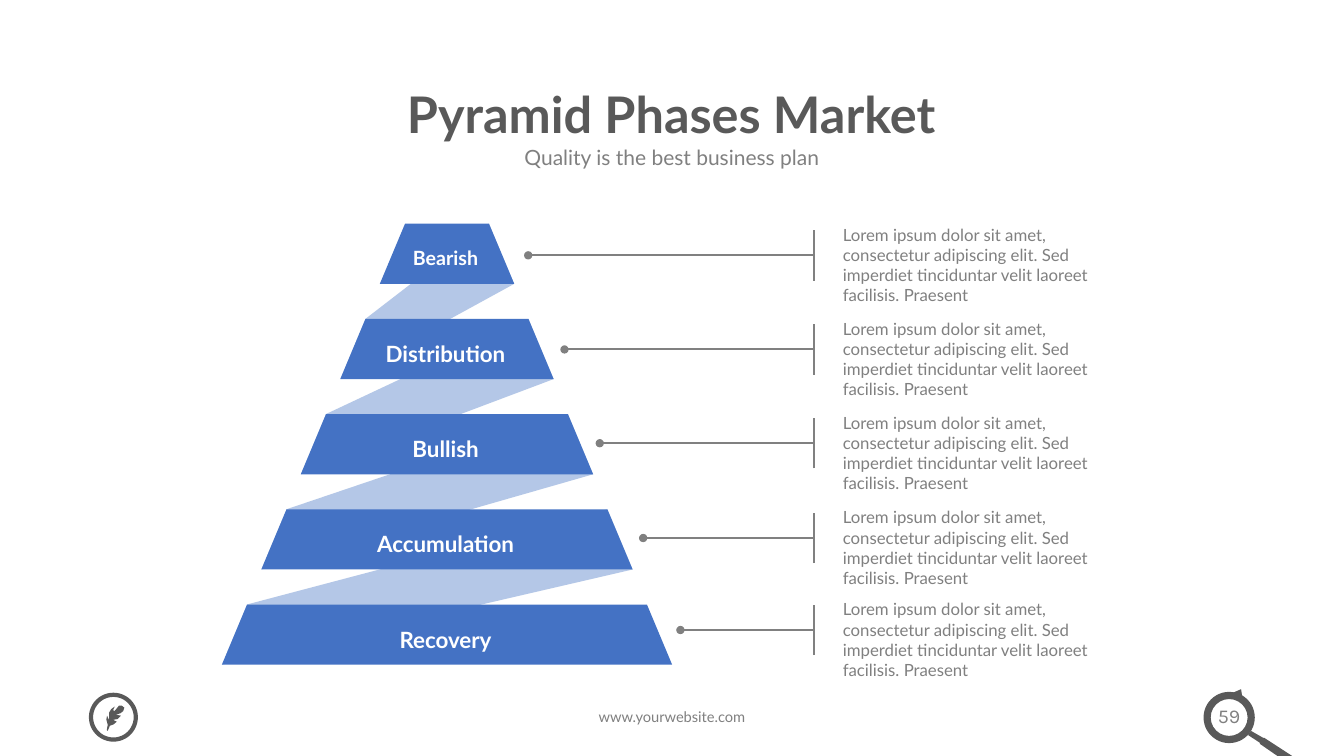
from lxml.etree import SubElement
from pptx import Presentation
from pptx.dml.color import RGBColor as RGB
from pptx.enum.shapes import MSO_CONNECTOR as LINK, MSO_SHAPE as KIND
from pptx.enum.text import MSO_ANCHOR as ANCHOR, PP_ALIGN as ALIGN
from pptx.oxml.ns import qn
from pptx.util import Pt

HUES = {"dark": "595959", "gray": "808080", "blue": "4472C4",
        "pale": "B4C7E7", "white": "FFFFFF"}

NOTE = ("Lorem ipsum dolor sit amet, consectetur adipiscing elit. Sed "
        "imperdiet tinciduntar velit laoreet facilisis. Praesent")

# Label, label size, dot x, pin y
LEVELS = [("Bearish", 14, 377.3, 182.4), ("Distribution", 16, 403.2, 249.6),
          ("Bullish", 16, 428.4, 316.6), ("Accumulation", 16, 459.4, 384.3),
          ("Recovery", 16, 486, 450)]

# Pyramid measures
MID, TOP, PITCH, TALL = 319.3, 159.8, 68, 43
HALF, STEP, SLANT = 30, 28.2, 18
BAR = 581.4

FEATHER = [(77, 522), (78.5, 518.4), (81, 517.5), (83.5, 515.5),
           (80.8, 514.2), (84, 513.6), (86.4, 511.2), (82.8, 510.5),
           (86, 509.5), (88, 508), (88.8, 505.5), (87, 504), (85, 504),
           (83.5, 506), (81.4, 508.3), (81, 506.8), (82, 504.7),
           (79.5, 506.5), (78, 509), (78, 514.5), (76.5, 511.2),
           (76, 514), (77, 517.7), (76.3, 521.5)]
HANDLE = [(893.5, 522), (902.2, 527), (903, 527), (923, 540),
          (912.5, 540), (900, 531.4), (900, 530.6), (891.4, 525)]


def hue(name):
    return RGB.from_string(HUES[name])


def text(slide, words, box, size, tint, font="Lato", bold=False,
         align=ALIGN.CENTER, anchor=ANCHOR.TOP, space=None, inset=None):
    frame = slide.shapes.add_textbox(*map(Pt, box)).text_frame
    frame.word_wrap = True
    frame.vertical_anchor = anchor
    if inset is not None:
        frame.margin_left = frame.margin_right = Pt(inset)
        frame.margin_top = frame.margin_bottom = Pt(inset)
    para = frame.paragraphs[0]
    para.text = words
    para.alignment = align
    if space:
        para.line_spacing = space
    para.font.name, para.font.size, para.font.bold = font, Pt(size), bold
    para.font.color.rgb = hue(tint)


def paint(shape, tint):
    shape.shadow.inherit = False
    shape.fill.solid()
    shape.fill.fore_color.rgb = hue(tint)
    shape.line.fill.background()


def poly(slide, points, tint):
    spots = [(Pt(x), Pt(y)) for x, y in points]
    maker = slide.shapes.build_freeform(*spots[0])
    maker.add_line_segments(spots[1:], close=True)
    paint(maker.convert_to_shape(), tint)


def preset(slide, kind, box, tint):
    shape = slide.shapes.add_shape(kind, *map(Pt, box))
    paint(shape, tint)
    return shape


def line(slide, x1, y1, x2, y2, dot=False):
    link = slide.shapes.add_connector(LINK.STRAIGHT, *map(Pt, (x1, y1, x2, y2)))
    link.line.color.rgb = hue("gray")
    link.line.width = Pt(1.5)
    if dot:
        SubElement(link.line._get_or_add_ln(), qn("a:tailEnd"), type="oval")
    SubElement(link._element.spPr, qn("a:effectLst"))


def band(rank):
    """Corners: top left, top right, bottom right, bottom left."""
    y, half = TOP + rank * PITCH, HALF + rank * STEP
    low, wide = y + TALL, half + SLANT
    return [(MID - half, y), (MID + half, y), (MID + wide, low), (MID - wide, low)]


def ribbon(slide, rank):
    upper, lower = band(rank), band(rank + 1)
    poly(slide, [upper[1], lower[0], lower[3], upper[2]], "pale")


def level(slide, rank, label, size, dot, y):
    poly(slide, band(rank), "blue")
    text(slide, label, (MID - 63.5, TOP + rank * PITCH + 2, 125, 36), size,
         "white", bold=True, anchor=ANCHOR.MIDDLE, space=1.5)
    line(slide, BAR, y + 18, BAR, y - 18)
    line(slide, BAR, y, dot, y, dot=True)
    text(slide, NOTE, (602, y - 22, 209, 58), 12, "gray",
         align=ALIGN.LEFT, inset=0)


def footer(slide):
    text(slide, "www.yourwebsite.com", (306, 502, 348, 21), 10.5, "gray")
    # Feather badge
    badge = preset(slide, KIND.OVAL, (65, 496.3, 32, 32), "white")
    badge.fill.background()
    badge.line.color.rgb = hue("dark")
    badge.line.width = Pt(3)
    poly(slide, FEATHER, "dark")
    # Magnifier with page number
    lens = preset(slide, KIND.DONUT, (859.7, 494.2, 36.6, 36.6), "dark")
    lens.adjustments[0] = 0.14
    poly(slide, HANDLE, "dark")
    tip = preset(slide, KIND.RIGHT_ARROW, (880.6, 491.8, 8, 8), "dark")
    tip.adjustments[0], tip.adjustments[1] = 0.32, 0.64
    tip.rotation = 298.7
    text(slide, "59", (856, 499, 44, 24), 14, "gray", font="Karla")


def main():
    deck = Presentation()
    deck.slide_width, deck.slide_height = Pt(960), Pt(540)
    slide = deck.slides.add_slide(deck.slide_layouts[6])

    # Heading
    text(slide, "Pyramid Phases Market", (119.5, 54, 720, 59), 36, "dark",
         bold=True, anchor=ANCHOR.MIDDLE, space=0.9)
    text(slide, "Quality is the best business plan", (192, 98.5, 576, 28),
         15, "gray", inset=5)

    # Pyramid, ribbons behind the bands
    for rank in reversed(range(len(LEVELS) - 1)):
        ribbon(slide, rank)
    for rank, row in enumerate(LEVELS):
        level(slide, rank, *row)

    footer(slide)
    deck.save("out.pptx")


if __name__ == "__main__":
    main()
